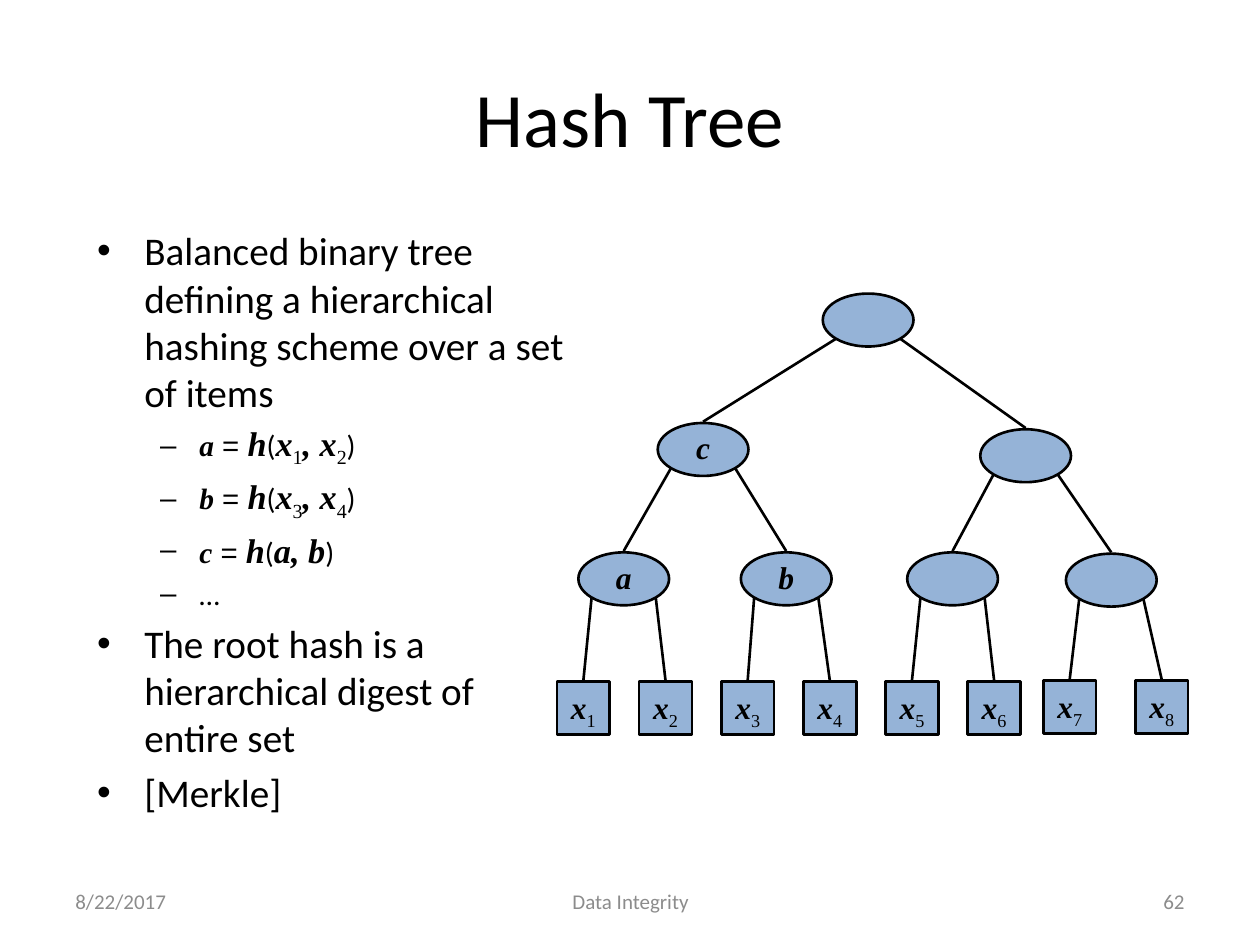
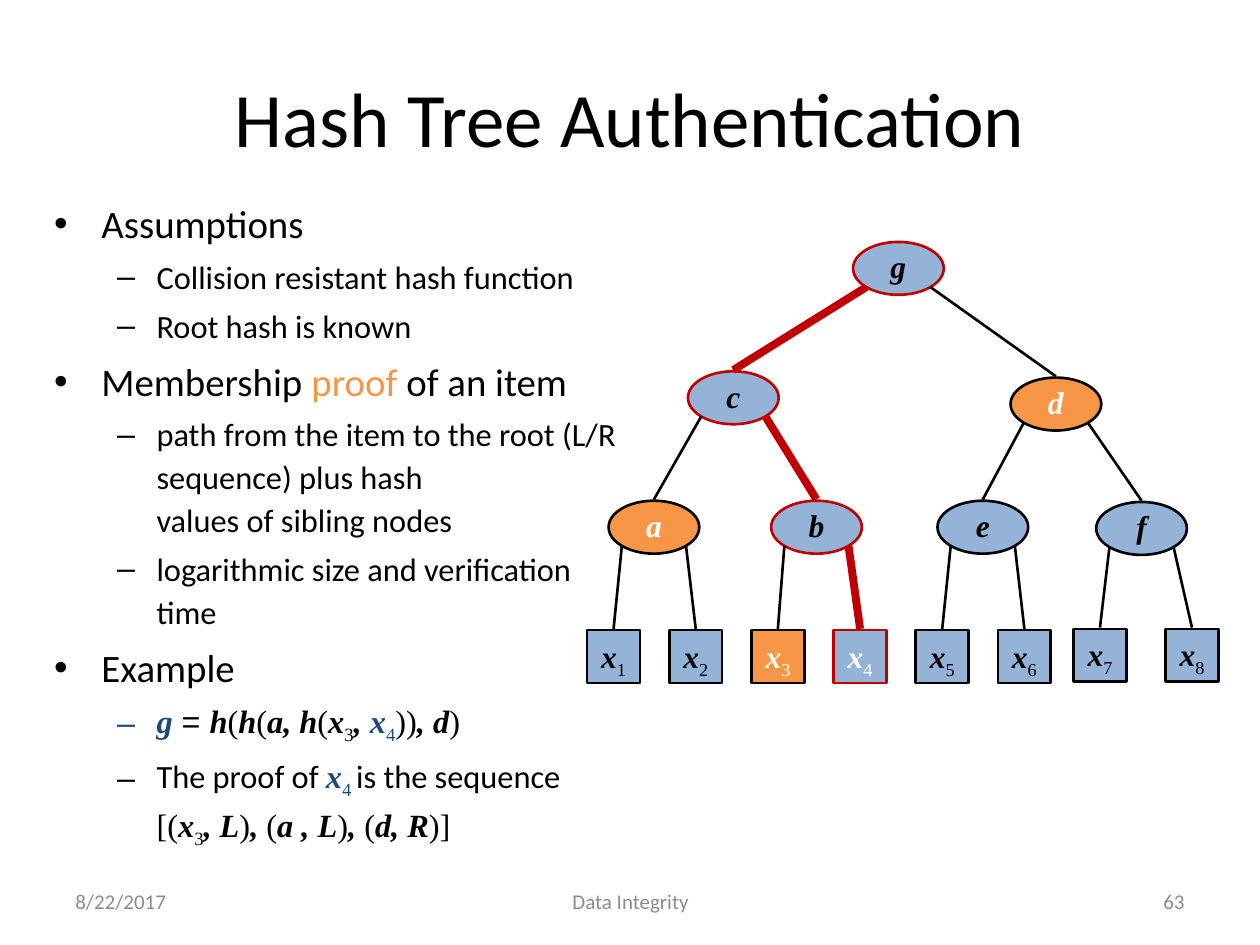
from copy import deepcopy

from lxml import etree
from pptx import Presentation
from pptx import util as u
from pptx.dml.color import RGBColor
from pptx.enum import shapes, text
from pptx.oxml.ns import qn

WIDTH, HEIGHT = 10, 7.5
BLACK, WHITE, GREY = "000000", "FFFFFF", "8C8C8C"
NODE_BLUE, NAVY, ORANGE, RED = "95B3D7", "1F497D", "F79646", "C00000"
SERIF = "Times New Roman"

# Run styles: font, bold italic, subscript, fixed size (None = size of the level)
STYLES = {
    "plain": ("Calibri", False, False, None),
    "sign": ("Arial", False, False, None),
    "var": (SERIF, True, False, None),
    "roman": (SERIF, False, False, None),
    "sub": (SERIF, False, True, None),
    "big var": (SERIF, True, False, 19.6),
    "big sub": (SERIF, False, True, 19.6),
}


def hash_of_items(name, left, right):
    """Line such as a = h(x1, x2)."""
    return 1, [(name, "var"), (" = ", "sign"), ("h", "big var"), ("(", "plain"),
               ("x", "big var"), (left, "big sub"), (", x", "big var"),
               (right, "big sub"), (")", "plain")]


# Content: each line is (level, runs); a run is (words, style[, colour])
FOOTER = [("8/22/2017", 0.5, 2.33, text.PP_ALIGN.LEFT),
          ("Data Integrity", 3.42, 3.17, text.PP_ALIGN.CENTER)]

SLIDES = [
    {
        "title": "Hash Tree",
        "number": "62",
        "body_box": (0.67, 1.75, 3.92, 5.17),
        "sizes": (22.4, 16.8),
        "spacing": 1.0,
        "lines": [
            (0, [("Balanced binary tree defining a hierarchical hashing scheme "
                  "over a set of items", "plain")]),
            hash_of_items("a", "1", "2"),
            hash_of_items("b", "3", "4"),
            (1, [("c", "var"), (" = ", "sign"), ("h", "big var"), ("(", "plain"),
                 ("a, b", "big var"), (")", "plain")]),
            (1, [("…", "plain")]),
            (0, [("The root hash is a hierarchical digest of entire set", "plain")]),
            (0, [("[Merkle]", "plain")]),
        ],
        "root": (6.89, 2.54),
        "labels": {2: "c", 4: "a", 5: "b"},
        "proven_item": None,
    },
    {
        "title": "Hash Tree Authentication",
        "number": "63",
        "body_box": (0.33, 1.5, 5.08, 5.42),
        "sizes": (22.2, 18.5),
        "spacing": 1.1,
        "lines": [
            (0, [("Assumptions", "plain")]),
            (1, [("Collision resistant hash function", "plain")]),
            (1, [("Root hash is known", "plain")]),
            (0, [("Membership ", "plain"), ("proof", "plain", ORANGE),
                 (" of an item", "plain")]),
            (1, [("path from the item to the root (L/R sequence) plus hash \n"
                  "values of sibling nodes", "plain")]),
            (1, [("logarithmic size and verification\ntime", "plain")]),
            (0, [("Example", "plain")]),
            (1, [("g", "var", NAVY), (" = ", "sign"), ("h", "var"), ("(", "roman"),
                 ("h", "var"), ("(", "roman"), ("a, h", "var"), ("(", "roman"),
                 ("x", "var"), ("3", "sub"), (", ", "var"), ("x", "var", NAVY),
                 ("4", "sub", NAVY), ("))", "roman"), (", d", "var"), (")", "roman")]),
            (1, [("The proof of ", "plain"), ("x", "var", NAVY), ("4 ", "sub", NAVY),
                 ("is the sequence \n", "plain"), ("[(", "roman"), ("x", "var"),
                 ("3", "sub"), (", L", "var"), (")", "roman"), (", ", "var"),
                 ("(", "roman"), ("a , L", "var"), (")", "roman"), (",", "var"),
                 (" (", "roman"), ("d, R", "var"), (")]", "roman")]),
        ],
        "root": (7.13, 2.13),
        "labels": {1: "g", 2: "c", 3: "d", 4: "a", 5: "b", 6: "e", 7: "f"},
        "proven_item": 4,
    },
]

# Tree geometry: node n has children 2n and 2n + 1; leaves are 8 to 15
FIRST_LEAF, LAST_LEAF = 8, 15
LEVEL_STEP, LEAF_STEP = 1.027, 0.652
ELLIPSE, SQUARE = (0.72, 0.42), (0.42, 0.42)
NODE_X = {1: 0, 2: -1.31, 3: 1.25, 4: -1.94, 5: -0.65, 6: 0.67, 7: 1.93,
          14: 1.6, 15: 2.33}
NODE_X |= {FIRST_LEAF + i: -2.26 + i * LEAF_STEP for i in range(6)}
NUDGE_Y = {3: 0.05, 7: 0.01, 14: -0.01, 15: -0.01}
DIAGONAL = 0.5 ** 0.5


def rgb(colour):
    return RGBColor.from_string(colour)


def place(shape, left, top, width, height):
    shape.left, shape.top = u.Inches(left), u.Inches(top)
    shape.width, shape.height = u.Inches(width), u.Inches(height)


def add_run(paragraph, words, style, size, colour=BLACK):
    font_name, bold_italic, subscript, fixed_size = STYLES[style]
    for i, part in enumerate(words.split("\n")):
        if i:
            line_break = paragraph._p.add_br()
            line_break.append(deepcopy(run._r.rPr))
        if not part:
            continue
        run = paragraph.add_run()
        run.text = part
        font = run.font
        font.name, font.size = font_name, u.Pt(fixed_size or size)
        font.bold = font.italic = bold_italic
        font.color.rgb = rgb(colour)
        if subscript:
            run._r.get_or_add_rPr().set("baseline", "-25000")


def add_footer(slide, number):
    for words, left, width, align in FOOTER + [(number, 7.17, 2.33, text.PP_ALIGN.RIGHT)]:
        box = slide.shapes.add_textbox(*map(u.Inches, (left, 6.95, width, 0.4)))
        frame = box.text_frame
        frame.word_wrap = True
        frame.vertical_anchor = text.MSO_ANCHOR.MIDDLE
        frame.paragraphs[0].alignment = align
        add_run(frame.paragraphs[0], words, "plain", 12, GREY)


def fill_body(body, content):
    place(body, *content["body_box"])
    frame = body.text_frame
    frame.auto_size = text.MSO_AUTO_SIZE.NONE
    for i, (level, runs) in enumerate(content["lines"]):
        paragraph = frame.add_paragraph() if i else frame.paragraphs[0]
        paragraph.level = level
        paragraph.line_spacing = content["spacing"]
        if i == 0:
            paragraph.space_before = u.Pt(0)
        for words, style, *colour in runs:
            add_run(paragraph, words, style, content["sizes"][level], *colour)


def add_node(slide, node, centre, label, fill, line, ink):
    is_leaf = node >= FIRST_LEAF
    width, height = SQUARE if is_leaf else ELLIPSE
    kind = shapes.MSO_SHAPE.RECTANGLE if is_leaf else shapes.MSO_SHAPE.OVAL
    box = (centre[0] - width / 2, centre[1] - height / 2, width, height)
    shape = slide.shapes.add_shape(kind, *map(u.Inches, box))
    shape.shadow.inherit = False
    shape.fill.solid()
    shape.fill.fore_color.rgb = rgb(fill)
    shape.line.color.rgb = rgb(line)
    shape.line.width = u.Pt(1.5)
    frame = shape.text_frame
    frame.word_wrap = False
    frame.vertical_anchor = text.MSO_ANCHOR.MIDDLE
    paragraph = frame.paragraphs[0]
    paragraph.alignment = text.PP_ALIGN.CENTER
    paragraph.line_spacing = 0.93
    if is_leaf:
        add_run(paragraph, "x", "var", 18, ink)
        add_run(paragraph, str(node - FIRST_LEAF + 1), "sub", 18, ink)
    elif label:
        add_run(paragraph, label, "var", 18, ink)


def add_edge(slide, child, centres, on_path):
    """Line from the top of a child to the lower left or right of its parent."""
    child_x, child_y = centres[child]
    parent_x, parent_y = centres[child // 2]
    side = 1 if child % 2 else -1
    ends = (child_x, child_y - SQUARE[1] / 2 - 0.01,
            parent_x + side * ELLIPSE[0] / 2 * DIAGONAL,
            parent_y + ELLIPSE[1] / 2 * DIAGONAL)
    edge = slide.shapes.add_connector(shapes.MSO_CONNECTOR.STRAIGHT, *map(u.Inches, ends))
    edge.line.color.rgb = rgb(RED if on_path else BLACK)
    edge.line.width = u.Pt(4.5 if on_path else 1.5)
    etree.SubElement(edge._element.spPr, qn("a:effectLst"))


def add_tree(slide, root, labels, proven_item):
    # Path from the proven leaf up to the root, and the siblings that prove it
    target = FIRST_LEAF + proven_item - 1 if proven_item else 0
    path, node = [], target
    while node:
        path.append(node)
        node //= 2
    proof = [node ^ 1 for node in path if node > 1]

    nodes = range(1, LAST_LEAF + 1)
    centres = {n: (root[0] + NODE_X[n],
                   root[1] + (n.bit_length() - 1) * LEVEL_STEP + NUDGE_Y.get(n, 0))
               for n in nodes}
    for n in nodes:
        add_node(slide, n, centres[n], labels.get(n),
                 fill=ORANGE if n in proof else NODE_BLUE,
                 line=RED if n in path else BLACK,
                 ink=WHITE if n in proof or n == target else BLACK)
    for n in nodes[1:]:
        add_edge(slide, n, centres, n in path)


def main():
    deck = Presentation()
    deck.slide_width, deck.slide_height = u.Inches(WIDTH), u.Inches(HEIGHT)
    for content in SLIDES:
        slide = deck.slides.add_slide(deck.slide_layouts[1])
        title, body = slide.placeholders
        place(title, 0.5, 0.3, 9, 1.25)
        add_run(title.text_frame.paragraphs[0], content["title"], "plain", 44)
        fill_body(body, content)
        add_tree(slide, content["root"], content["labels"], content["proven_item"])
        add_footer(slide, content["number"])
    deck.save("out.pptx")


if __name__ == "__main__":
    main()
